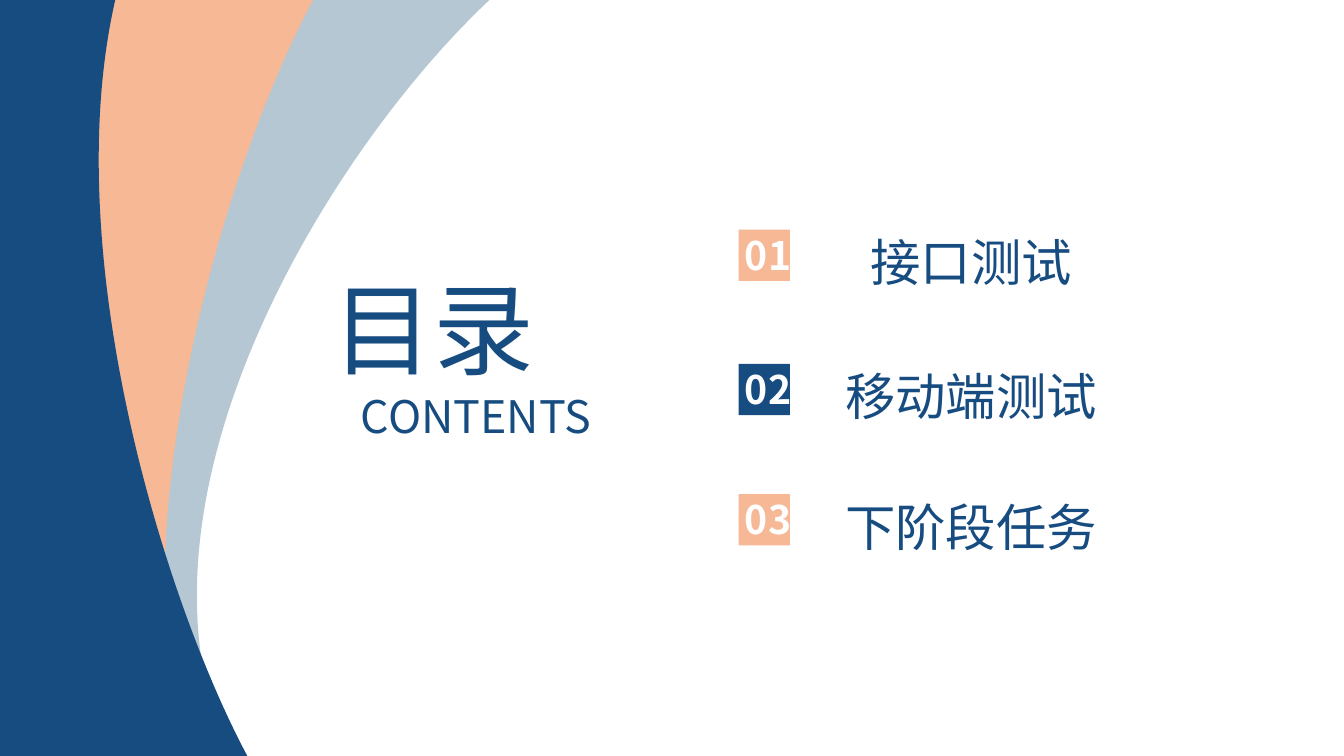
from lxml import etree
from pptx import Presentation
from pptx.dml.color import RGBColor
from pptx.enum.shapes import MSO_SHAPE
from pptx.enum.text import MSO_AUTO_SIZE, PP_ALIGN
from pptx.oxml.ns import qn
from pptx.util import Pt

NAVY = RGBColor(0x17, 0x4C, 0x81)
PEACH = RGBColor(0xF6, 0xB8, 0x95)
MIST = RGBColor(0xB5, 0xC7, 0xD3)
WHITE = RGBColor(0xFF, 0xFF, 0xFF)


class SlideBuilder:
    font = "Noto Sans CJK SC"
    units_per_point = 100

    def __init__(self, slide):
        self.slide = slide

    def group(self):
        return self.slide.shapes.add_group_shape().shapes

    def paint(self, shape, color):
        shape.shadow.inherit = False
        shape.fill.solid()
        shape.fill.fore_color.rgb = color
        shape.line.fill.background()

    def square(self, shapes, left, top, side, color):
        self.paint(shapes.add_shape(MSO_SHAPE.RECTANGLE, Pt(left), Pt(top),
                                    Pt(side), Pt(side)), color)

    def wave(self, shapes, curve, corners, color):
        """Outline of one cubic curve closed by straight sides."""
        units = self.units_per_point
        first, *rest = [(round(x * units), round(y * units))
                        for x, y in curve + corners]
        outline = shapes.build_freeform(*first, scale=Pt(1) / units)
        outline.add_line_segments(rest, close=True)
        shape = outline.convert_to_shape()
        # Merge the first three segments into the cubic curve
        segments = list(shape._element.iter(qn("a:lnTo")))[:3]
        cubic = etree.Element(qn("a:cubicBezTo"))
        segments[0].addprevious(cubic)
        for segment in segments:
            cubic.append(segment[0])
            segment.getparent().remove(segment)
        self.paint(shape, color)

    def text(self, shapes, words, left, top, width, height, size,
             color=NAVY, align=PP_ALIGN.LEFT, bold=False, inset=7.2):
        box = shapes.add_textbox(Pt(left), Pt(top), Pt(width), Pt(height))
        frame = box.text_frame
        frame.word_wrap = True
        frame.auto_size = MSO_AUTO_SIZE.SHAPE_TO_FIT_TEXT
        frame.margin_left = frame.margin_right = Pt(inset)
        frame.margin_top = frame.margin_bottom = Pt(3.6)
        paragraph = frame.paragraphs[0]
        paragraph.alignment = align
        run = paragraph.add_run()
        run.text = words
        run.font.size = Pt(size)
        run.font.bold = bold
        run.font.color.rgb = color
        run.font.name = self.font
        etree.SubElement(run.font._element, qn("a:ea"), typeface=self.font)


def main():
    deck = Presentation()
    deck.slide_width, deck.slide_height = Pt(960), Pt(540)
    slide = deck.slides.add_slide(deck.slide_layouts[6])
    builder = SlideBuilder(slide)

    # Layered waves on the left, back to front
    waves = builder.group()
    builder.wave(waves, [(166.3, 545), (78.5, 360.7), (234.7, 105.8), (353.5, -3.6)],
                 [(2, -4.3), (2, 543.6)], MIST)
    builder.wave(waves, [(130.3, 544.3), (85.7, 360), (165.6, 105.1), (226, -4.3)],
                 [(46.8, -5), (46.8, 543)], PEACH)
    builder.wave(waves, [(83.5, -5), (38.9, 179.3), (118.8, 434.2), (178.6, 543.6)],
                 [(0, 544.3), (0, -3.6)], NAVY)

    # Heading
    builder.text(slide.shapes, "目录", 234, 187.2, 178.6, 94.3, 72, inset=3.6)
    builder.text(slide.shapes, "CONTENTS", 254.2, 274.3, 187.9, 46.1, 32,
                 align=PP_ALIGN.JUSTIFY, inset=3.6)

    # Numbered entries
    number_right = 572.2
    entries = [("接口测试", 164, PEACH, 64.8), ("移动端测试", 260, NAVY, 53.3),
               ("下阶段任务", 353, PEACH, 64.8)]
    for number, (topic, top, color, number_width) in enumerate(entries, 1):
        entry = builder.group()
        builder.square(entry, 527.6, top, 36.6, color)
        builder.text(entry, topic, 571.3, top - 2.5, 244.8, 51.1, 36,
                     align=PP_ALIGN.CENTER)
        builder.text(entry, f"{number:02}", number_right - number_width, top - 2.5,
                     number_width, 41, 28, color=WHITE, align=PP_ALIGN.RIGHT, bold=True)

    deck.save("out.pptx")


if __name__ == "__main__":
    main()
